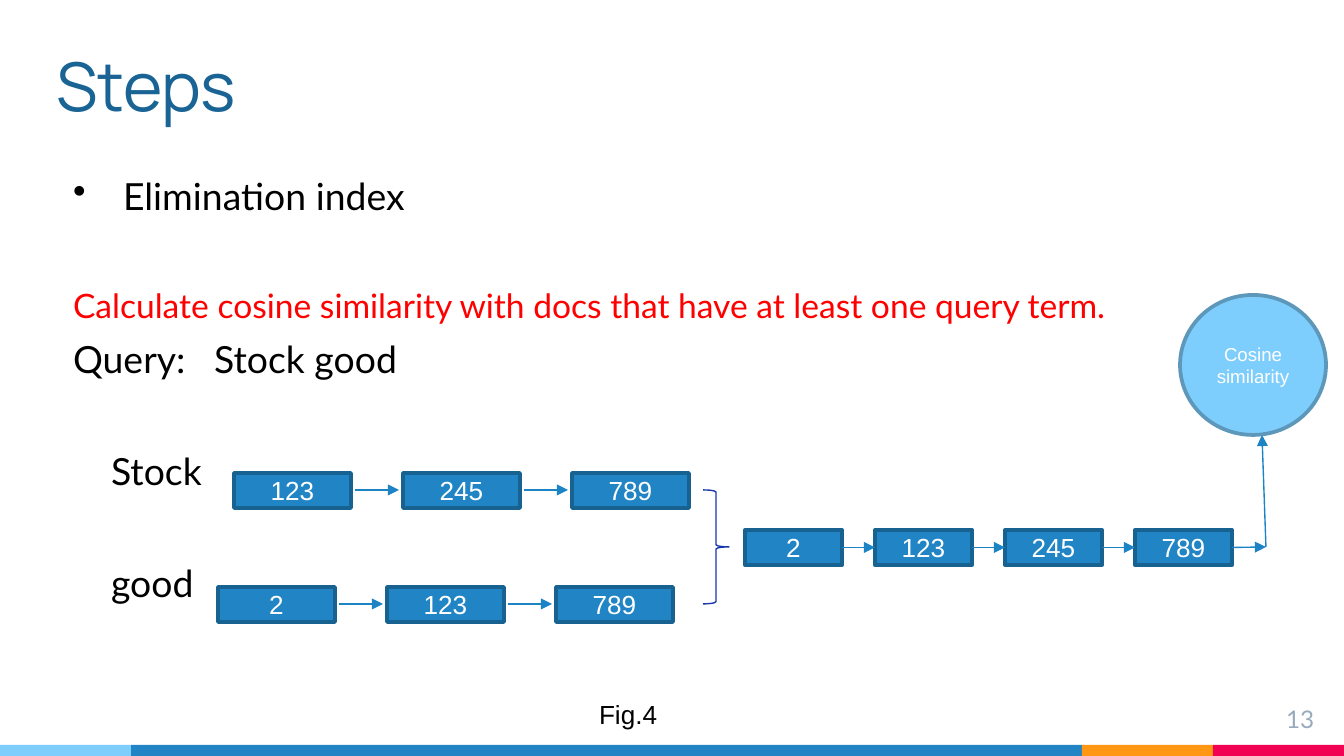
from lxml import etree
from pptx import Presentation
from pptx.dml.color import RGBColor
from pptx.enum.shapes import MSO_CONNECTOR, MSO_SHAPE
from pptx.enum.text import MSO_ANCHOR, PP_ALIGN
from pptx.oxml.ns import qn
from pptx.util import Pt

SCALE = 914400 / 134.4
RECT, OVAL, BRACE = MSO_SHAPE.RECTANGLE, MSO_SHAPE.OVAL, MSO_SHAPE.RIGHT_BRACE
LINE = MSO_CONNECTOR.STRAIGHT
MIDDLE, TOP = MSO_ANCHOR.MIDDLE, MSO_ANCHOR.TOP
LEFT, CENTER, RIGHT = PP_ALIGN.LEFT, PP_ALIGN.CENTER, PP_ALIGN.RIGHT

BLUE = RGBColor(0x21, 0x85, 0xC5)
EDGE = RGBColor(0x18, 0x62, 0x92)
ARROW = RGBColor(0x1C, 0x83, 0xC5)
NAVY = RGBColor(0x18, 0x37, 0xA9)
SKY = RGBColor(0x7E, 0xCE, 0xFD)
RIM = RGBColor(0x5D, 0x98, 0xBB)
ORANGE = RGBColor(0xFF, 0x97, 0x15)
PINK = RGBColor(0xF2, 0x02, 0x53)
TITLE = RGBColor(0x19, 0x64, 0x94)
GRAY = RGBColor(0x97, 0xAB, 0xBC)
RED = RGBColor(0xFF, 0, 0)
BLACK = RGBColor(0, 0, 0)
WHITE = RGBColor(0xFF, 0xFF, 0xFF)


def px(n):
    return round(n * SCALE)


def add_run(para, words, size, font, color):
    run = para.add_run()
    run.text = words
    run.font.size = Pt(size)
    run.font.name = font
    run.font.color.rgb = color


def add_form(slide, kind, box, fill=None, line=None, width=2):
    form = slide.shapes.add_shape(kind, *map(px, box))
    form.shadow.inherit = False
    if fill is None:
        form.fill.background()
    else:
        form.fill.solid()
        form.fill.fore_color.rgb = fill
    if line is None:
        form.line.fill.background()
    else:
        form.line.color.rgb = line
        form.line.width = Pt(width)
    return form


def label(form, words, size):
    frame = form.text_frame
    frame.vertical_anchor = MIDDLE
    frame.word_wrap = True
    para = frame.paragraphs[0]
    para.alignment = CENTER
    add_run(para, words, size, "Arial", WHITE)


def add_frame(slide, box, pad=13, wrap=True):
    frame = slide.shapes.add_textbox(*map(px, box)).text_frame
    frame.word_wrap = wrap
    frame.vertical_anchor = TOP
    frame.margin_left = frame.margin_right = px(13)
    frame.margin_top = frame.margin_bottom = px(pad)
    return frame


def add_line(slide, box, words, size, font, color, align=LEFT, **frame):
    """Place one line of text in a box."""
    para = add_frame(slide, box, **frame).paragraphs[0]
    para.alignment = align
    add_run(para, words, size, font, color)


def add_arrow(slide, start, end):
    arrow = slide.shapes.add_connector(LINE, *map(px, start + end))
    arrow.line.color.rgb = ARROW
    arrow.line.width = Pt(0.75)
    head = etree.SubElement(arrow.line._get_or_add_ln(), qn("a:tailEnd"))
    head.set("type", "triangle")
    etree.SubElement(arrow._element.spPr, qn("a:effectLst"))
    return arrow


def footer(slide, x, y, w, h):
    side = 131
    parts = [(side, SKY), (w - 3 * side, BLUE), (side, ORANGE), (side, PINK)]
    for wide, color in parts:
        add_form(slide, RECT, (x, y, wide, h), color)
        x += wide


def body(slide, box):
    # words, size, color, indent, space before
    rows = [
        ("Elimination index", 20, BLACK, 67, 6),
        ("Calculate cosine similarity with docs that have at least "
         "one query term.", 18, RED, 17, 36),
        ("Query:   Stock good", 20, BLACK, 17, 6),
        ("Stock", 20, BLACK, 55, 36),
        ("good", 20, BLACK, 55, 36),
    ]
    frame = add_frame(slide, box)
    for i, (words, size, color, indent, space) in enumerate(rows):
        para = frame.add_paragraph() if i else frame.paragraphs[0]
        para.space_before = Pt(space)
        add_run(para, words, size, "Lato", color)
        para._p.get_or_add_pPr().set("marL", str(px(indent)))
    props = frame.paragraphs[0]._p.get_or_add_pPr()
    props.set("indent", str(px(-50)))
    etree.SubElement(props, qn("a:buChar")).set("char", "•")


def chain(slide, x, y, w, h, words, step, gap):
    """Draw boxes of w by h, one each step, with arrows between them.

    With no gap the arrows are joined to the boxes.
    """
    cells = []
    for i, word in enumerate(words):
        cell = add_form(slide, RECT, (x + i * step, y, w, h), BLUE, EDGE)
        label(cell, word, 14)
        cells.append(cell)
    mid = y + h // 2
    for i, (prev, cell) in enumerate(zip(cells, cells[1:])):
        left = x + i * step
        arrow = add_arrow(slide, (left + w + gap, mid), (left + step - gap, mid))
        if not gap:
            arrow.begin_connect(prev, 3)
            arrow.end_connect(cell, 1)
    return cells


def diagram(slide, x, y):
    """Draw two posting lists, their merged list and the result."""
    chain(slide, x + 16, y, 117, 35, ["123", "245", "789"], 169, 4)
    chain(slide, x, y + 114, 117, 35, ["2", "123", "789"], 169, 4)
    add_form(slide, BRACE, (x + 485, y + 17, 26, 114), None, NAVY, 0.75)
    cells = chain(slide, x + 527, y + 57, 97, 35,
                  ["2", "123", "245", "789"], 130, 0)
    turn = (x + 1048, y + 74)
    add_arrow(slide, (x + 1014, y + 74), turn).begin_connect(cells[-1], 3)
    add_arrow(slide, turn, (x + 1044, y - 38))
    disc = add_form(slide, OVAL, (x + 962, y - 178, 146, 140), SKY, RIM)
    label(disc, "Cosine similarity", 10)


def main():
    deck = Presentation()
    deck.slide_width, deck.slide_height = px(1344), px(756)
    slide = deck.slides.add_slide(deck.slide_layouts[6])
    footer(slide, 0, 745, 1344, 11)
    add_line(slide, (1246, 691, 81, 46), "13", 13, "Lato", GRAY, RIGHT)
    add_line(slide, (43, 31, 991, 171), "Steps", 36, "Manrope", TITLE)
    body(slide, (43, 160, 1234, 521))
    add_line(slide, (586, 691, 86, 46), "Fig.4", 14, "Arial", BLACK,
             pad=7, wrap=False)
    diagram(slide, 218, 473)
    deck.save("out.pptx")


if __name__ == "__main__":
    main()
